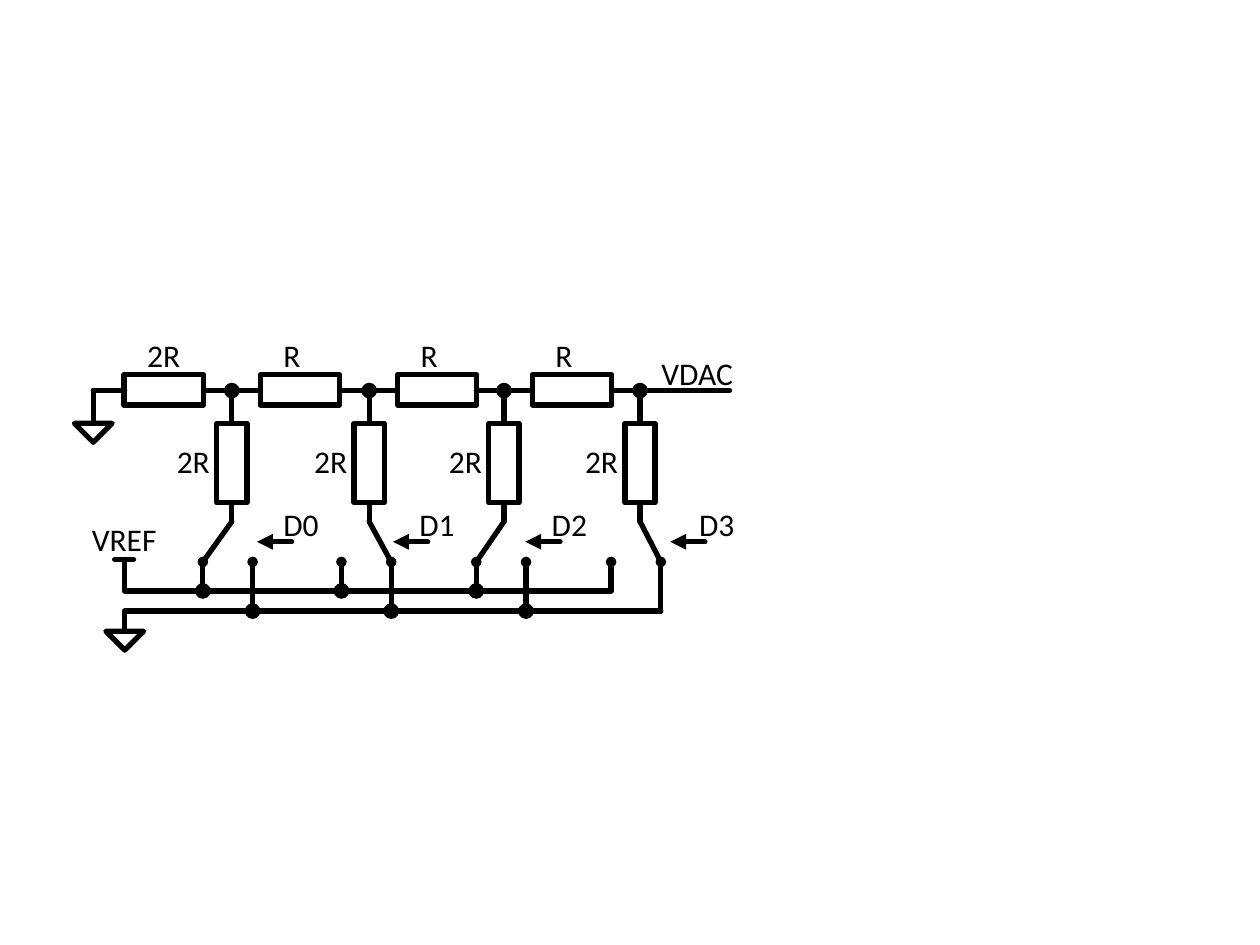
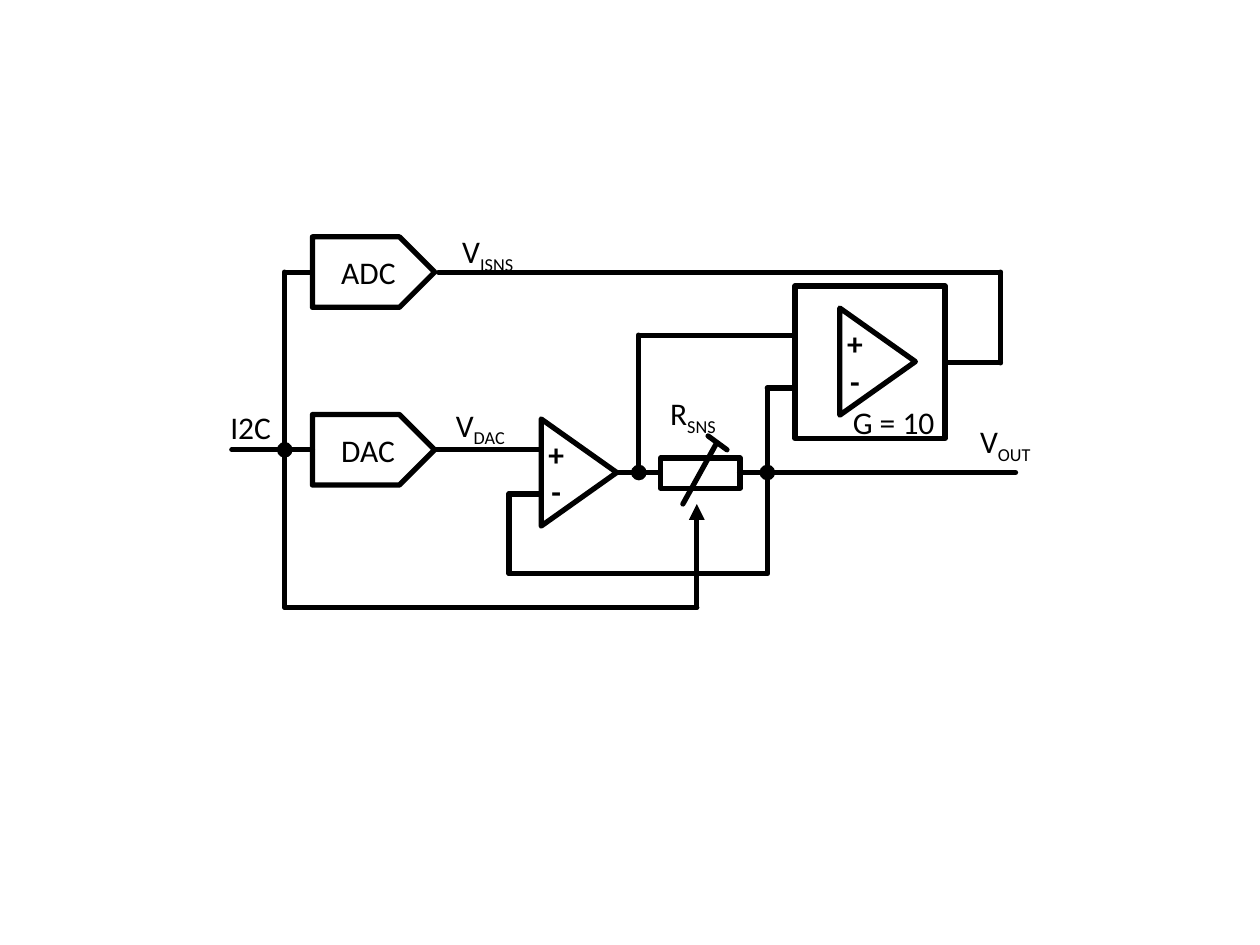
from dataclasses import dataclass
from typing import NamedTuple

from lxml import etree
from pptx import Presentation
from pptx.dml.color import RGBColor
from pptx.enum.shapes import MSO_CONNECTOR, MSO_SHAPE
from pptx.enum.text import MSO_AUTO_SIZE, MSO_VERTICAL_ANCHOR, PP_ALIGN
from pptx.oxml.ns import qn
from pptx.util import Inches, Pt

STRAIGHT = MSO_CONNECTOR.STRAIGHT
RECT = MSO_SHAPE.RECTANGLE
TRIANGLE = MSO_SHAPE.ISOSCELES_TRIANGLE
CONVERTER = MSO_SHAPE.PENTAGON
FIT_SHAPE = MSO_AUTO_SIZE.SHAPE_TO_FIT_TEXT
TOP = MSO_VERTICAL_ANCHOR.TOP
LEFT, CENTER = PP_ALIGN.LEFT, PP_ALIGN.CENTER

SLIDE_W, SLIDE_H = Inches(10), Inches(7.5)
COLUMNS, ROWS = 100, 75


@dataclass(frozen=True)
class Theme:
    ink: RGBColor = RGBColor(0, 0, 0)
    paper: RGBColor = RGBColor(255, 255, 255)
    font: str = "Calibri"
    text: Pt = Pt(18)
    stroke: Pt = Pt(3)
    subscript: str = "-25000"


THEME = Theme()


class Point(NamedTuple):
    x: float
    y: float


class End(NamedTuple):
    kind: str
    size: str = "med"


NODE = End("oval")
CONTACT = End("oval", "sm")
ARROW = End("triangle")


class Label(NamedTuple):
    x: float
    y: float
    width: float
    text: str
    sub: str = ""


class Wire(NamedTuple):
    start: Point
    stop: Point
    head: End | None = None
    tail: End | None = None


@dataclass(frozen=True)
class Stage:
    node: float
    series: float
    series_text: str
    contact: float
    arrow: float
    bit: str
    bit_left: float
    selects_ground: bool


def col(x: float) -> int:
    return round(SLIDE_W * x / COLUMNS)


def row(y: float) -> int:
    return round(SLIDE_H * y / ROWS)


def style_line(s, head: End | None = None, tail: End | None = None) -> None:
    s.line.color.rgb = THEME.ink
    s.line.width = THEME.stroke
    ln = s._element.spPr.find(qn("a:ln"))
    ln.set("cap", "rnd")
    etree.SubElement(ln, qn("a:round"))
    for tag, end in (("a:headEnd", head), ("a:tailEnd", tail)):
        if end:
            etree.SubElement(ln, qn(tag), type=end.kind, w=end.size, len=end.size)


def add_wire(slide, wire: Wire) -> None:
    (x1, y1), (x2, y2) = wire.start, wire.stop
    s = slide.shapes.add_connector(STRAIGHT, col(x1), row(y1), col(x2), row(y2))
    style_line(s, wire.head, wire.tail)
    etree.SubElement(s._element.spPr, qn("a:effectLst"))


def add_path(slide, *points: tuple[float, float]) -> None:
    for start, stop in zip(points, points[1:]):
        add_wire(slide, Wire(Point(*start), Point(*stop)))


def add_part(slide, kind, x: float, y: float, w: float, h: float, turn: float = 0) -> None:
    s = slide.shapes.add_shape(kind, col(x - w / 2), row(y - h / 2), col(w), row(h))
    s.rotation = turn
    s.fill.background()
    s.shadow.inherit = False
    style_line(s)


def add_resistor(slide, x: float, y: float, upright: bool = False) -> None:
    w, h = (2.4, 6.3) if upright else (6.3, 2.4)
    add_part(slide, RECT, x, y, w, h)


def add_ground(slide, x: float, top: float) -> None:
    add_part(slide, TRIANGLE, x, top + 0.75, 3, 1.5, 180)


def add_run(p, text: str, bold: bool = False, sub: bool = False) -> None:
    r = p.add_run()
    r.text = text
    r.font.name = THEME.font
    r.font.size = THEME.text
    r.font.bold = bold
    r.font.color.rgb = THEME.ink
    if sub:
        r.font._element.set("baseline", THEME.subscript)


def add_text_frame(slide, x: float, y: float, w: float, h: float):
    tf = slide.shapes.add_textbox(col(x), row(y), col(w), row(h)).text_frame
    tf.word_wrap = False
    tf.auto_size = FIT_SHAPE
    tf.vertical_anchor = TOP
    return tf


def add_label(slide, label: Label) -> None:
    p = add_text_frame(slide, label.x, label.y, label.width, 4).paragraphs[0]
    p.alignment = LEFT
    add_run(p, label.text)
    if label.sub:
        add_run(p, label.sub, sub=True)


def add_amplifier(slide, x: float, y: float) -> None:
    add_part(slide, TRIANGLE, x, y, 8.5, 6, 90)
    tf = add_text_frame(slide, x - 3.45, y - 3.5, 3.3, 7.1)
    for p, sign in ((tf.paragraphs[0], "+"), (tf.add_paragraph(), "-")):
        p.alignment = CENTER
        add_run(p, sign, bold=True)


def add_converter(slide, y: float, name: str) -> None:
    add_part(slide, CONVERTER, 29.65, y, 9.7, 5.6)
    add_label(slide, Label(26.1, y - 2, 6.3, name))


def add_slide(prs):
    slide = prs.slides.add_slide(prs.slide_layouts[6])
    slide.background.fill.solid()
    slide.background.fill.fore_color.rgb = THEME.paper
    return slide


LADDER_Y, SHUNT_TOP, SHUNT_END = 31, 33.6, 39.9
PIVOT_Y, CONTACT_Y, REF_Y, GROUND_Y = 41.4, 44.6, 46.9, 48.5
SUPPLY_X, THROW = 9.9, 3.95

STAGES = (
    Stage(18.4, 13, "2R", 16.1, 20.4, "D0", 21.5, False),
    Stage(29.3, 23.8, "R", 27.1, 31.2, "D1", 32.3, True),
    Stage(40, 34.7, "R", 37.8, 41.7, "D2", 42.8, False),
    Stage(50.8, 45.4, "R", 48.5, 53.2, "D3", 54.5, True),
)


def add_stage(slide, stage: Stage, last: bool) -> None:
    node, left, right = stage.node, stage.contact, stage.contact + THROW
    chosen = right if stage.selects_ground else left
    joint = None if last else NODE
    reach = 7.1 if last else 2.2
    add_resistor(slide, stage.series, LADDER_Y - 0.05)
    add_resistor(slide, node, (SHUNT_TOP + SHUNT_END) / 2, upright=True)
    add_path(slide, (node - 2.2, LADDER_Y), (node + reach, LADDER_Y))
    add_path(slide, (node, SHUNT_END), (node, PIVOT_Y), (chosen, CONTACT_Y))
    for wire in (
        Wire(Point(node, LADDER_Y), Point(node, SHUNT_TOP), NODE),
        Wire(Point(left, CONTACT_Y), Point(left, REF_Y), CONTACT, joint),
        Wire(Point(right, CONTACT_Y), Point(right, GROUND_Y), CONTACT, joint),
        Wire(Point(stage.arrow, 43), Point(stage.arrow + 2.75, 43), ARROW),
    ):
        add_wire(slide, wire)
    series_width = 4.7 if stage.series_text == "2R" else 3.4
    for label in (
        Label(stage.series - 2.3, 26.2, series_width, stage.series_text),
        Label(node - 5.35, 34.6, 4.7, "2R"),
        Label(stage.bit_left, 39.6, 4.9, stage.bit),
    ):
        add_label(slide, label)


def build_ladder(prs) -> None:
    slide = add_slide(prs)
    for stage in STAGES:
        add_stage(slide, stage, last=stage is STAGES[-1])
    end = STAGES[-1].contact
    add_path(slide, (9.1, 44.4), (10.6, 44.4))
    add_path(slide, (SUPPLY_X, 44.4), (SUPPLY_X, REF_Y), (end, REF_Y))
    add_path(slide, (SUPPLY_X, 50.1), (SUPPLY_X, GROUND_Y), (end + THROW, GROUND_Y))
    add_path(slide, (SUPPLY_X, LADDER_Y), (7.4, LADDER_Y), (7.4, SHUNT_TOP))
    add_ground(slide, SUPPLY_X, 50.1)
    add_ground(slide, 7.4, SHUNT_TOP)
    add_label(slide, Label(6.3, 40.8, 7.2, "VREF"))
    add_label(slide, Label(51.5, 27.6, 7.8, "VDAC"))


def build_source(prs) -> None:
    slide = add_slide(prs)
    bus, sense, out, back = 22.6, 50.7, 60.9, 79.4
    adc_y, dac_y, out_y, gain_y = 21.6, 35.7, 37.5, 28.8
    plus_y, minus_y, control_y = 26.6, 30.8, 48.2

    add_converter(slide, adc_y, "ADC")
    add_converter(slide, dac_y, "DAC")
    add_amplifier(slide, 45.95, out_y)
    add_amplifier(slide, 69.65, gain_y - 0.1)
    add_part(slide, RECT, 69.05, gain_y - 0.05, 11.9, 12.1)
    add_resistor(slide, 55.6, out_y + 0.05)

    for path in (
        ((18.4, dac_y), (24.8, dac_y)),
        ((34.6, dac_y), (42.9, dac_y)),
        ((24.7, adc_y), (bus, adc_y)),
        ((bus, dac_y), (bus, control_y), (55.3, control_y)),
        ((49, out_y), (52.4, out_y)),
        ((58.7, out_y), (80.6, out_y)),
        ((out, 45.5), (40.4, 45.5), (40.4, 39.2), (42.8, 39.2)),
        ((sense, plus_y), (63, plus_y)),
        ((out, out_y), (out, minus_y), (63, minus_y)),
        ((75.1, gain_y), (back, gain_y), (back, adc_y), (34.8, adc_y)),
        ((54.2, 40), (56.8, 35.3)),
        ((56.2, 34.6), (57.7, 35.7)),
    ):
        add_path(slide, *path)

    for wire in (
        Wire(Point(bus, dac_y), Point(bus, adc_y), NODE),
        Wire(Point(sense, out_y), Point(sense, plus_y), NODE),
        Wire(Point(out, out_y), Point(out, 45.5), NODE),
        Wire(Point(55.3, control_y), Point(55.3, 40), tail=ARROW),
    ):
        add_wire(slide, wire)

    for label in (
        Label(17.3, 31.9, 5.3, "I2C"),
        Label(35.2, 31.7, 6.3, "V", "DAC"),
        Label(35.7, 17.9, 6.5, "V", "ISNS"),
        Label(52.2, 30.8, 6, "R", "SNS"),
        Label(76.8, 33, 6.5, "V", "OUT"),
        Label(66.7, 31.5, 8.6, "G = 10"),
    ):
        add_label(slide, label)


def main() -> None:
    prs = Presentation()
    prs.slide_width, prs.slide_height = SLIDE_W, SLIDE_H
    build_ladder(prs)
    build_source(prs)
    prs.save("out.pptx")


if __name__ == "__main__":
    main()
